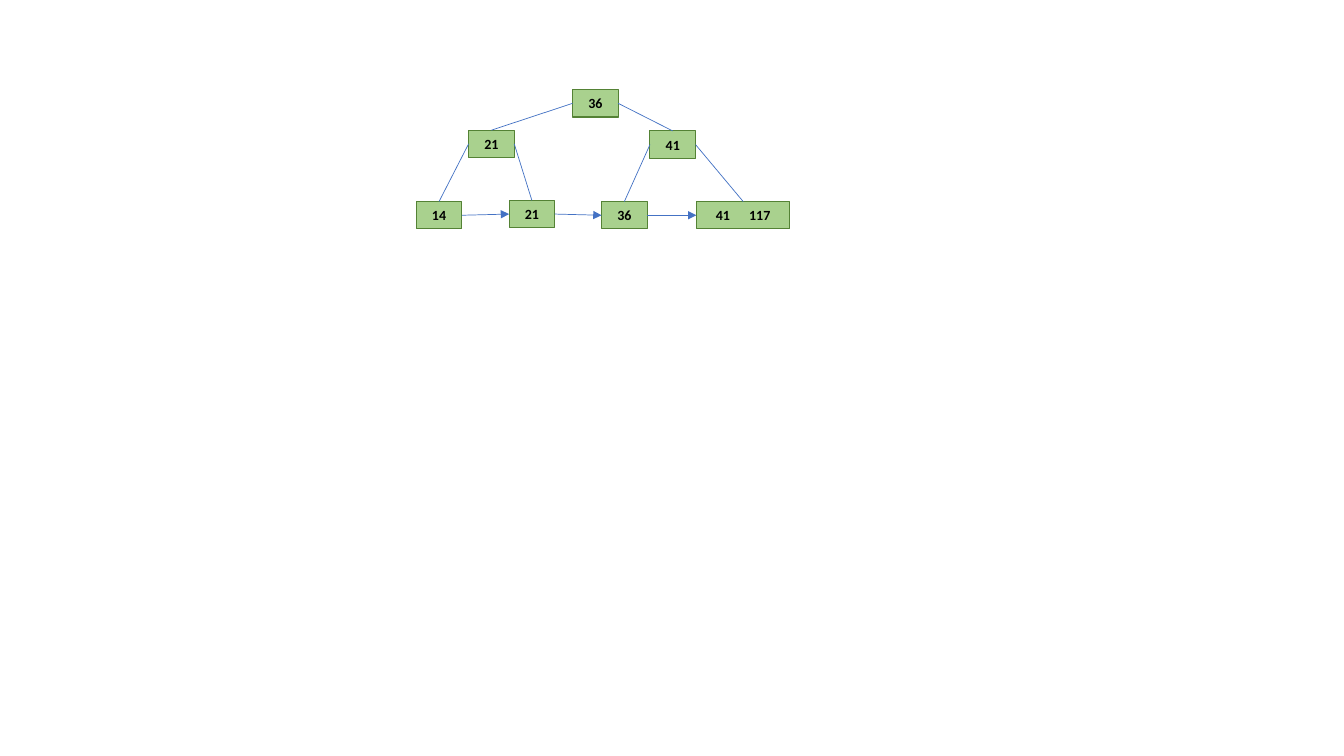
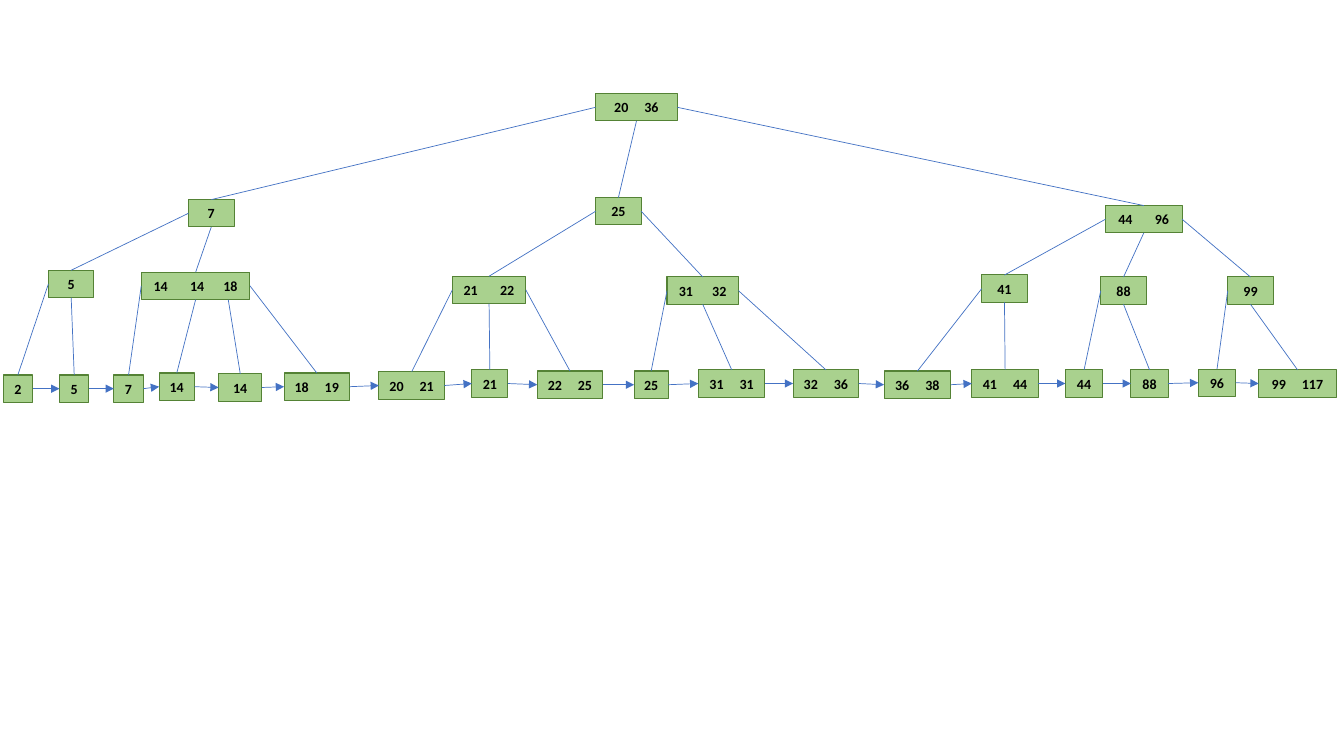
from itertools import pairwise

from pptx import Presentation
from pptx.dml.color import RGBColor
from pptx.enum.shapes import MSO_CONNECTOR, MSO_SHAPE
from pptx.enum.text import MSO_ANCHOR, PP_ALIGN
from pptx.oxml.ns import qn
from pptx.util import Cm, Pt
from lxml.etree import SubElement

HUES = {"fill": "A9D18E", "edge": "548235", "link": "4472C4", "text": "000000"}
FONT = "Calibri"
HIGH = 0.69
WIDE = 1.15
DIGIT = 0.18
GAP = 0.4
GAPS = {
    "41 117": [0.48],
    "31 32": [0.48],
    "21 22": [0.56],
    "44 96": [0.56],
    "14 14 18": [0.56, 0.48],
}
SITES = {"T": 0, "L": 1, "B": 2, "R": 3}

SMALL = ("36", 14.43, 2.26, WIDE, "LR", [
    ("21", 11.81, 3.28, WIDE, "LR", [
        ("14", 10.49, 5.08, WIDE, "", []),
        ("21", 12.83, 5.05, WIDE, "", []),
    ]),
    ("41", 16.38, 3.3, WIDE, "LR", [
        ("36", 15.16, 5.08, WIDE, "", []),
        ("41 117", 17.55, 5.08, 2.36, "", []),
    ]),
])

LARGE = ("20 36", 15.01, 2.36, 2.06, "LBR", [
    ("7", 4.75, 5.03, WIDE, "LB", [
        ("5", 1.22, 6.81, WIDE, "LB", [
            ("2", 0.08, 9.45, 0.74, "", []),
            ("5", 1.5, 9.45, 0.74, "", []),
        ]),
        ("14 14 18", 3.56, 6.86, 2.74, "LBSR", [
            ("7", 2.87, 9.45, 0.74, "", []),
            ("14", 4.01, 9.4, 0.89, "", []),
            ("14", 5.51, 9.42, 1.09, "", []),
            ("18 19", 7.16, 9.4, 1.65, "", []),
        ]),
    ]),
    ("25", 15.01, 4.98, WIDE, "LR", [
        ("21 22", 11.4, 6.96, 1.85, "LBR", [
            ("20 21", 9.55, 9.37, 1.65, "", []),
            ("21", 11.89, 9.32, 0.91, "", []),
            ("22 25", 13.54, 9.35, 1.65, "", []),
        ]),
        ("31 32", 16.81, 6.98, 1.8, "LBR", [
            ("25", 15.98, 9.35, 0.86, "", []),
            ("31 31", 17.6, 9.32, 1.68, "", []),
            ("32 36", 19.99, 9.32, 1.65, "", []),
        ]),
    ]),
    ("44 96", 27.86, 5.18, 1.93, "LBR", [
        ("41", 24.74, 6.93, WIDE, "LB", [
            ("36 38", 22.28, 9.35, 1.68, "", []),
            ("41 44", 24.49, 9.32, 1.68, "", []),
        ]),
        ("88", 27.74, 6.98, WIDE, "LB", [
            ("44", 26.85, 9.32, 0.94, "", []),
            ("88", 28.5, 9.32, 0.94, "", []),
        ]),
        ("99", 30.94, 6.98, WIDE, "LB", [
            ("96", 30.2, 9.3, 0.94, "", []),
            ("99 117", 31.72, 9.32, 1.96, "", []),
        ]),
    ]),
])


def color(name):
    return RGBColor.from_string(HUES[name])


def write(shape, text, *, size=10, bold=True, hue="text", lead=0, tabs=()):
    frame = shape.text_frame
    frame.word_wrap = True
    frame.vertical_anchor = MSO_ANCHOR.MIDDLE
    frame.margin_left = Cm(lead)
    frame.margin_right = frame.margin_top = frame.margin_bottom = 0
    para = frame.paragraphs[0]
    para.alignment = PP_ALIGN.LEFT if tabs else PP_ALIGN.CENTER
    if tabs:
        stops = SubElement(para._p.get_or_add_pPr(), qn("a:tabLst"))
        for stop in tabs:
            SubElement(stops, qn("a:tab"), pos=str(Cm(stop)), algn="l")
    run = para.add_run()
    run.text = text
    run.font.name = FONT
    run.font.size = Pt(size)
    run.font.bold = bold
    run.font.color.rgb = color(hue)


def draw_box(slide, label, x, y, wide):
    box = slide.shapes.add_shape(
        MSO_SHAPE.RECTANGLE, Cm(x), Cm(y), Cm(wide), Cm(HIGH))
    box.shadow.inherit = False
    box.fill.solid()
    box.fill.fore_color.rgb = color("fill")
    box.line.color.rgb = color("edge")
    box.line.width = Pt(0.75)
    keys = label.split()
    gaps = GAPS.get(label, [GAP] * (len(keys) - 1))
    tabs, end = [], len(keys[0]) * DIGIT
    for key, gap in zip(keys[1:], gaps):
        tabs.append(end + gap)
        end += gap + len(key) * DIGIT
    lead = (wide - end) / 2 if tabs else 0
    write(box, "\t".join(keys), lead=lead, tabs=tabs)
    return box


def join(slide, start, end, side, goal, arrow=False):
    x = start.left + int(start.width * 0.8)
    y = start.top + start.height
    link = slide.shapes.add_connector(MSO_CONNECTOR.STRAIGHT, x, y, x, y)
    if side in SITES:
        link.begin_connect(start, SITES[side])
    link.end_connect(end, SITES[goal])
    link.line.color.rgb = color("link")
    link.line.width = Pt(0.5)
    if arrow:
        SubElement(link.line._get_or_add_ln(), qn("a:tailEnd"), type="triangle")
    SubElement(link._element.spPr, qn("a:effectLst"))


def draw_tree(slide, node, leaves):
    label, x, y, wide, sides, kids = node
    box = draw_box(slide, label, x, y, wide)
    if not kids:
        leaves.append(box)
    for side, kid in zip(sides, kids):
        join(slide, box, draw_tree(slide, kid, leaves), side, "T")
    return box


def main():
    deck = Presentation()
    deck.slide_width, deck.slide_height = Cm(33.87), Cm(19.05)
    for tree in (SMALL, LARGE):
        slide = deck.slides.add_slide(deck.slide_layouts[6])
        leaves = []
        draw_tree(slide, tree, leaves)
        for left, right in pairwise(leaves):
            join(slide, left, right, "R", "L", arrow=True)
    deck.save("out.pptx")


if __name__ == "__main__":
    main()
